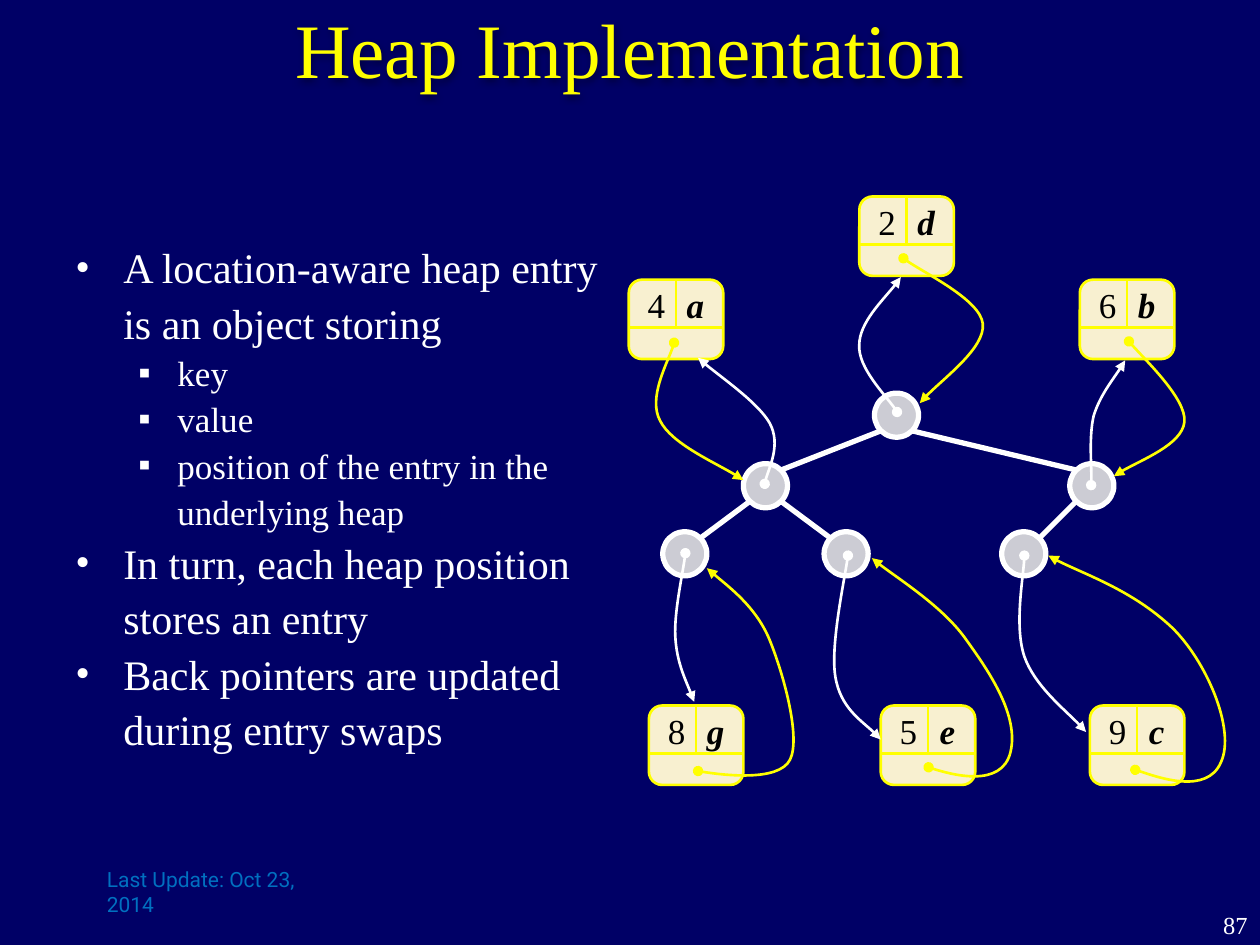
from dataclasses import dataclass

import lxml.etree
import pptx
import pptx.dml.color
import pptx.enum.shapes
import pptx.enum.text
import pptx.oxml
import pptx.oxml.ns
import pptx.util

Inches = pptx.util.Inches
Pt = pptx.util.Pt
ALIGN = pptx.enum.text.PP_ALIGN
ANCHOR = pptx.enum.text.MSO_ANCHOR
SHAPE = pptx.enum.shapes.MSO_SHAPE
qn = pptx.oxml.ns.qn


@dataclass(frozen=True)
class Theme:
    background: str = "000066"
    accent: str = "FFFF00"
    light: str = "FFFFFF"
    dark: str = "000000"
    date: str = "0070C0"
    node: str = "CCCCD4"
    entry: str = "F8F0D0"
    serif: str = "Times New Roman"
    sans: str = "Roboto"
    title_size: int = 44
    body_size: int = 24
    detail_size: int = 20
    number_size: int = 14
    date_size: int = 12
    thick: float = 3
    thin: float = 1.5


def rgb(value):
    return pptx.dml.color.RGBColor.from_string(value)


class HeapSlide:
    NODE = 0.35
    ENTRY_WIDTH, ENTRY_HEIGHT, ENTRY_SPLIT = 0.75, 0.63, 0.38

    def __init__(self, slide, theme):
        self.slide, self.shapes, self.theme = slide, slide.shapes, theme
        fill = slide.background.fill
        fill.solid()
        fill.fore_color.rgb = rgb(theme.background)

    def style_font(self, paragraph, size, color, face=None, emphasis=None):
        font = paragraph.font
        font.name, font.size = face or self.theme.serif, Pt(size)
        font.color.rgb = rgb(color)
        font.bold = font.italic = emphasis

    def text(self, box, content, size, color, face=None, align=ALIGN.LEFT,
             emphasis=None, wrap=True, anchor=ANCHOR.TOP):
        label = self.shapes.add_textbox(*map(Inches, box))
        frame = label.text_frame
        frame.word_wrap, frame.vertical_anchor = wrap, anchor
        paragraph = frame.paragraphs[0]
        paragraph.text, paragraph.alignment = content, align
        self.style_font(paragraph, size, color, face, emphasis)
        return label

    def title(self, box, content):
        heading = self.text(box, content, self.theme.title_size, self.theme.accent,
                            align=ALIGN.CENTER, anchor=ANCHOR.MIDDLE)
        effects = lxml.etree.SubElement(heading._element.spPr, qn("a:effectLst"))
        shadow = lxml.etree.SubElement(effects, qn("a:outerShdw"),
                                       blurRad="50800", dist="25400", dir="5400000")
        black = lxml.etree.SubElement(shadow, qn("a:srgbClr"), val=self.theme.dark)
        lxml.etree.SubElement(black, qn("a:alpha"), val="40000")

    def bullets(self, box, items):
        """Fill a text box from (level, content) pairs."""
        styles = [("•", 0.38, 0.38, self.theme.body_size),
                  ("▪", 0.81, 0.31, self.theme.detail_size)]
        frame = self.shapes.add_textbox(*map(Inches, box)).text_frame
        frame.word_wrap = True
        for index, (level, content) in enumerate(items):
            paragraph = frame.add_paragraph() if index else frame.paragraphs[0]
            mark, margin, hanging, size = styles[level]
            paragraph.text, paragraph.level = content, level
            paragraph.line_spacing = 1.1
            properties = paragraph._p.get_or_add_pPr()
            properties.set("marL", str(Inches(margin)))
            properties.set("indent", str(-Inches(hanging)))
            lxml.etree.SubElement(properties, qn("a:buFont"), typeface=self.theme.serif)
            lxml.etree.SubElement(properties, qn("a:buChar"), char=mark)
            self.style_font(paragraph, size, self.theme.light)

    def stroke(self, line, color, width):
        line.color.rgb, line.width = rgb(color), Pt(width)

    def preset(self, kind, box, fill, color, width):
        shape = self.shapes.add_shape(kind, *map(Inches, box))
        shape.shadow.inherit = False
        shape.fill.solid()
        shape.fill.fore_color.rgb = rgb(fill)
        self.stroke(shape.line, color, width)
        return shape

    def line(self, start, end, color, width):
        straight = pptx.enum.shapes.MSO_CONNECTOR.STRAIGHT
        connector = self.shapes.add_connector(straight, *map(Inches, (*start, *end)))
        lxml.etree.SubElement(connector._element.spPr, qn("a:effectLst"))
        self.stroke(connector.line, color, width)
        return connector

    def node(self, x, y):
        self.preset(SHAPE.OVAL, (x, y, self.NODE, self.NODE),
                    self.theme.node, self.theme.light, self.theme.thick)

    def edge(self, parent, child):
        """Join the facing diagonal points of two nodes."""
        near, far = 0.05, self.NODE - 0.05
        parent_dx, child_dx = (near, far) if child[0] < parent[0] else (far, near)
        self.line((parent[0] + parent_dx, parent[1] + far),
                  (child[0] + child_dx, child[1] + near),
                  self.theme.light, self.theme.thick)

    def entry(self, x, y, key, value):
        theme = self.theme
        card = self.preset(SHAPE.ROUNDED_RECTANGLE,
                           (x, y, self.ENTRY_WIDTH, self.ENTRY_HEIGHT),
                           theme.entry, theme.accent, theme.thin)
        split, middle = y + self.ENTRY_SPLIT, x + self.ENTRY_WIDTH / 2
        self.line((x, split), (x + self.ENTRY_WIDTH, split), theme.accent, theme.thin)
        divider = self.line((middle, y), (middle, split), theme.accent, theme.thin)
        divider.begin_connect(card, 0)
        for offset, content, emphasis in ((0.05, key, None), (0.36, value, True)):
            self.text((x + offset, y - 0.02, 0.34, 0.43), content, theme.detail_size,
                      theme.dark, align=ALIGN.CENTER, emphasis=emphasis, wrap=False)

    def pointer(self, points, color):
        """Draw a cubic curve: a start, then two controls and an end per piece."""
        start, *rest = [tuple(map(Inches, point)) for point in points]
        builder = self.shapes.build_freeform(*start)
        builder.add_line_segments(rest, close=False)
        curve = builder.convert_to_shape()
        curve.shadow.inherit = False
        curve.fill.background()
        self.stroke(curve.line, color, self.theme.thin)
        segments = list(curve._element.iter(qn("a:lnTo")))
        for first in range(0, len(segments), 3):
            bezier = pptx.oxml.parse_xml(
                f'<a:cubicBezTo {pptx.oxml.ns.nsdecls("a")}/>')
            segments[first].addprevious(bezier)
            for segment in segments[first:first + 3]:
                bezier.append(segment[0])
                segment.getparent().remove(segment)
        outline = curve.line._get_or_add_ln()
        lxml.etree.SubElement(outline, qn("a:headEnd"), type="oval")
        lxml.etree.SubElement(outline, qn("a:tailEnd"), type="triangle")


BULLETS = [
    (0, "A location-aware heap entry is an object storing"),
    (1, "key"),
    (1, "value"),
    (1, "position of the entry in the underlying heap"),
    (0, "In turn, each heap position stores an entry"),
    (0, "Back pointers are updated during entry swaps"),
]
NODES = {"d": (6.94, 3.12), "b": (8.49, 3.68), "a": (5.9, 3.68),
         "e": (6.54, 4.22), "g": (5.26, 4.22), "c": (7.95, 4.22)}
EDGES = ["da", "db", "bc", "ag", "ae"]
ENTRIES = [(4.99, 2.22, "4", "a"), (6.82, 1.56, "2", "d"), (8.57, 2.22, "6", "b"),
           (5.15, 5.6, "8", "g"), (6.99, 5.6, "5", "e"), (8.65, 5.6, "9", "c")]
ENTRY_TO_NODE = [
    [(7.17, 2.05), (7.28, 2.14), (7.78, 2.38), (7.8, 2.57),
     (7.82, 2.76), (7.4, 3.07), (7.3, 3.2)],
    [(8.96, 2.71), (9.04, 2.81), (9.42, 3.17), (9.4, 3.35),
     (9.38, 3.53), (8.96, 3.69), (8.84, 3.78)],
    [(5.35, 2.72), (5.33, 2.82), (5.14, 3.16), (5.24, 3.34),
     (5.33, 3.52), (5.76, 3.71), (5.9, 3.81)],
    [(5.54, 6.12), (5.64, 6.14), (6.18, 6.21), (6.27, 6.03), (6.36, 5.85),
     (6.21, 5.32), (6.1, 5.06), (5.99, 4.81), (5.7, 4.59), (5.61, 4.51)],
    [(7.37, 6.09), (7.48, 6.13), (7.95, 6.26), (8.02, 5.97), (8.09, 5.68),
     (7.85, 5.33), (7.67, 5.08), (7.49, 4.82), (7.03, 4.53), (6.92, 4.43)],
    [(9.01, 6.11), (9.13, 6.15), (9.58, 6.31), (9.69, 6.05), (9.81, 5.79),
     (9.57, 5.24), (9.3, 4.98), (8.98, 4.68), (8.52, 4.53), (8.32, 4.41)],
]
NODE_TO_ENTRY = [
    [(6.07, 3.84), (6.08, 3.76), (6.2, 3.53), (6.11, 3.36),
     (6.02, 3.2), (5.66, 2.95), (5.54, 2.84)],
    [(8.66, 3.85), (8.67, 3.76), (8.64, 3.47), (8.68, 3.3),
     (8.73, 3.14), (8.88, 2.95), (8.93, 2.86)],
    [(7.12, 3.27), (7.07, 3.18), (6.81, 2.92), (6.82, 2.74),
     (6.82, 2.56), (7.08, 2.31), (7.15, 2.2)],
    [(8.13, 4.41), (8.13, 4.54), (8.05, 4.97), (8.13, 5.21),
     (8.21, 5.44), (8.52, 5.69), (8.62, 5.81)],
    [(6.73, 4.41), (6.71, 4.57), (6.59, 5.13), (6.63, 5.37),
     (6.67, 5.62), (6.91, 5.77), (6.99, 5.87)],
    [(5.44, 4.39), (5.43, 4.5), (5.35, 4.86), (5.36, 5.05),
     (5.37, 5.25), (5.47, 5.46), (5.51, 5.57)],
]


def main():
    deck = pptx.Presentation()
    deck.slide_width, deck.slide_height = Inches(10), Inches(7.5)
    theme = Theme()
    heap = HeapSlide(deck.slides.add_slide(deck.slide_layouts[6]), theme)

    heap.text((9.5, 7.17, 0.5, 0.33), "87", theme.number_size, theme.light,
              align=ALIGN.RIGHT)
    heap.title((0.75, -0.25, 8.5, 1.25), "Heap Implementation")
    heap.bullets((0.5, 1.83, 4.41, 5.08), BULLETS)
    heap.text((0.75, 6.83, 2.08, 0.5), "Last Update: Oct 23, 2014",
              theme.date_size, theme.date, theme.sans)

    for position in NODES.values():
        heap.node(*position)
    for parent, child in EDGES:
        heap.edge(NODES[parent], NODES[child])
    for entry in ENTRIES:
        heap.entry(*entry)
    for curves, color in ((ENTRY_TO_NODE, theme.accent), (NODE_TO_ENTRY, theme.light)):
        for points in curves:
            heap.pointer(points, color)
    deck.save("out.pptx")


if __name__ == "__main__":
    main()
